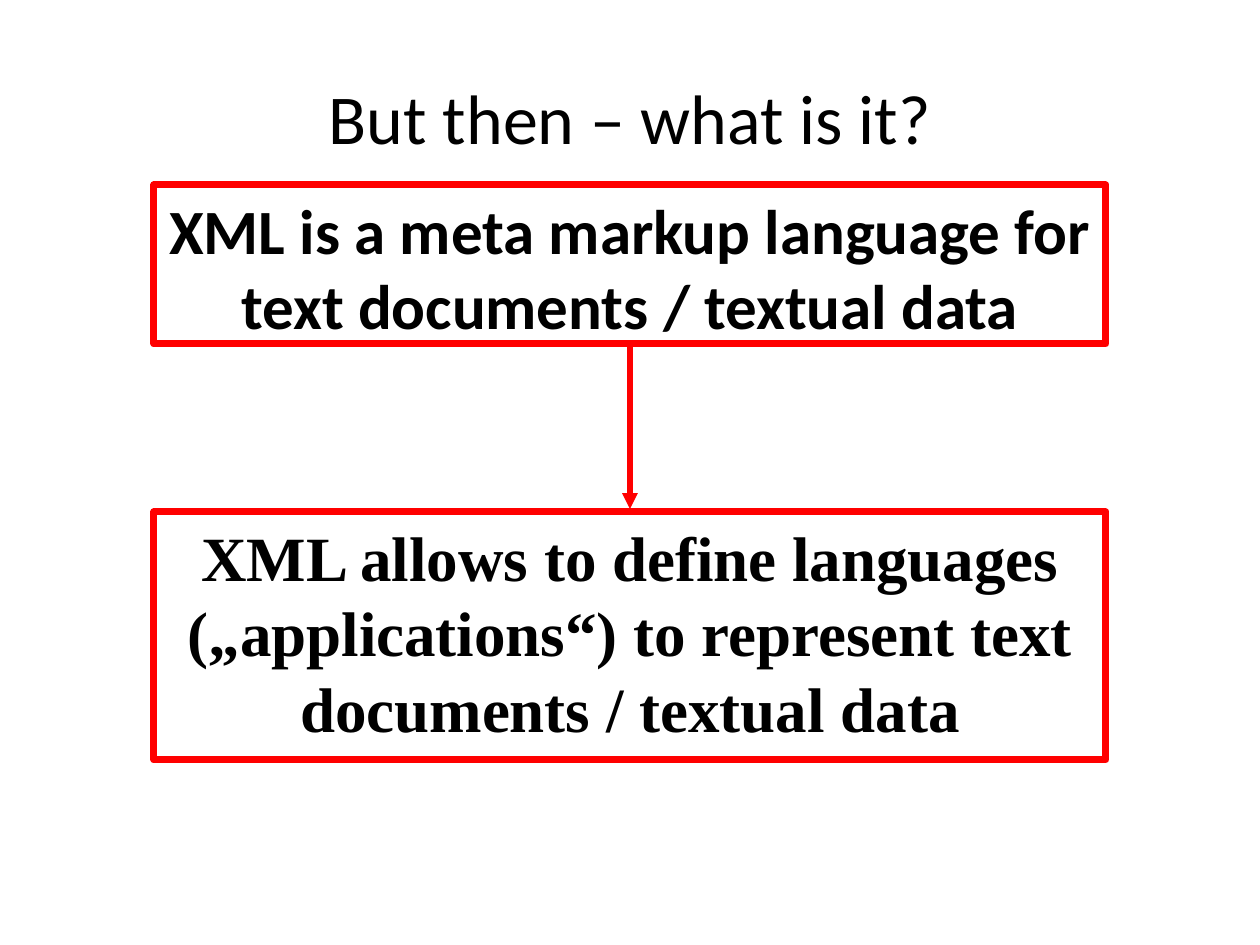
import pptx
import pptx.util
import pptx.dml.color
import pptx.enum.shapes
import pptx.enum.text
import pptx.oxml.ns
import lxml.etree

EMU_PER_PIXEL = 914400 // 126
BLACK, WHITE, RED = "000000", "FFFFFF", "FF0000"


def color(hex_code):
    return pptx.dml.color.RGBColor.from_string(hex_code)


def px(*lengths):
    return [pptx.util.Emu(length * EMU_PER_PIXEL) for length in lengths]


def add_xml(parent, tag, **attributes):
    return lxml.etree.SubElement(parent, pptx.oxml.ns.qn(tag), **attributes)


class SlideWriter:
    """Holds the shared style and the current slide."""

    accent = RED
    box_line = 4
    arrow_line = 3

    def __init__(self, slide):
        self.slide = slide

    def style(self, shape, area, text, font, size, bold, line, line_width):
        shape.left, shape.top, shape.width, shape.height = px(*area)
        shape.fill.solid()
        shape.fill.fore_color.rgb = color(WHITE)
        shape.line.color.rgb = color(line)
        shape.line.width = pptx.util.Pt(line_width)
        frame = shape.text_frame
        frame.text = text
        frame.word_wrap = True
        frame.auto_size = pptx.enum.text.MSO_AUTO_SIZE.NONE
        paragraph = frame.paragraphs[0]
        paragraph.alignment = pptx.enum.text.PP_ALIGN.CENTER
        run_font = paragraph.runs[0].font
        run_font.name = font
        run_font.size = pptx.util.Pt(size)
        run_font.bold = bold
        run_font.color.rgb = color(BLACK)

    def title(self, area, text):
        heading = self.slide.shapes.title
        self.style(heading, area, text, "Calibri", 40, False, WHITE, 0.75)
        heading.text_frame.vertical_anchor = pptx.enum.text.MSO_ANCHOR.MIDDLE

    def statement(self, shape, area, text, font):
        self.style(shape, area, text, font, 36, True, self.accent, self.box_line)
        shape.text_frame.vertical_anchor = pptx.enum.text.MSO_ANCHOR.TOP
        paragraph = shape.text_frame.paragraphs[0]
        paragraph.space_before = pptx.util.Pt(7.2)
        properties = paragraph._p.get_or_add_pPr()
        properties.set("marL", "0")
        properties.set("indent", "0")
        add_xml(properties, "a:buNone")

    def body(self, area, text, font):
        self.statement(self.slide.placeholders[1], area, text, font)

    def box(self, area, text, font):
        shape = self.slide.shapes.add_shape(
            pptx.enum.shapes.MSO_SHAPE.RECTANGLE, *px(*area))
        shape.shadow.inherit = False
        self.statement(shape, area, text, font)

    def arrow(self, start, end):
        arrow = self.slide.shapes.add_connector(
            pptx.enum.shapes.MSO_CONNECTOR.STRAIGHT, *px(*start, *end))
        arrow.line.color.rgb = color(self.accent)
        arrow.line.width = pptx.util.Pt(self.arrow_line)
        add_xml(arrow.line._get_or_add_ln(), "a:tailEnd", type="triangle")
        add_xml(arrow._element.spPr, "a:effectLst")


deck = pptx.Presentation()
deck.slide_width, deck.slide_height = pptx.util.Inches(10), pptx.util.Inches(7.5)
writer = SlideWriter(deck.slides.add_slide(deck.slide_layouts[1]))

# Both statements share one column
left, width = 154, 952
center = left + width // 2
definition_top, definition_height = 185, 159
consequence_top, consequence_height = 512, 248
gap = 3

# Heading
writer.title((63, 38, 1134, 157), "But then – what is it?")

# Definition and what follows from it
writer.body((left, definition_top, width, definition_height),
            "XML is a meta markup language for text documents / textual data",
            "Calibri")
writer.box((left, consequence_top, width, consequence_height),
           "XML allows to define languages („applications“) "
           "to represent text documents / textual data",
           "Times New Roman")
writer.arrow((center, definition_top + definition_height + gap),
             (center, consequence_top - gap))

deck.save("out.pptx")
